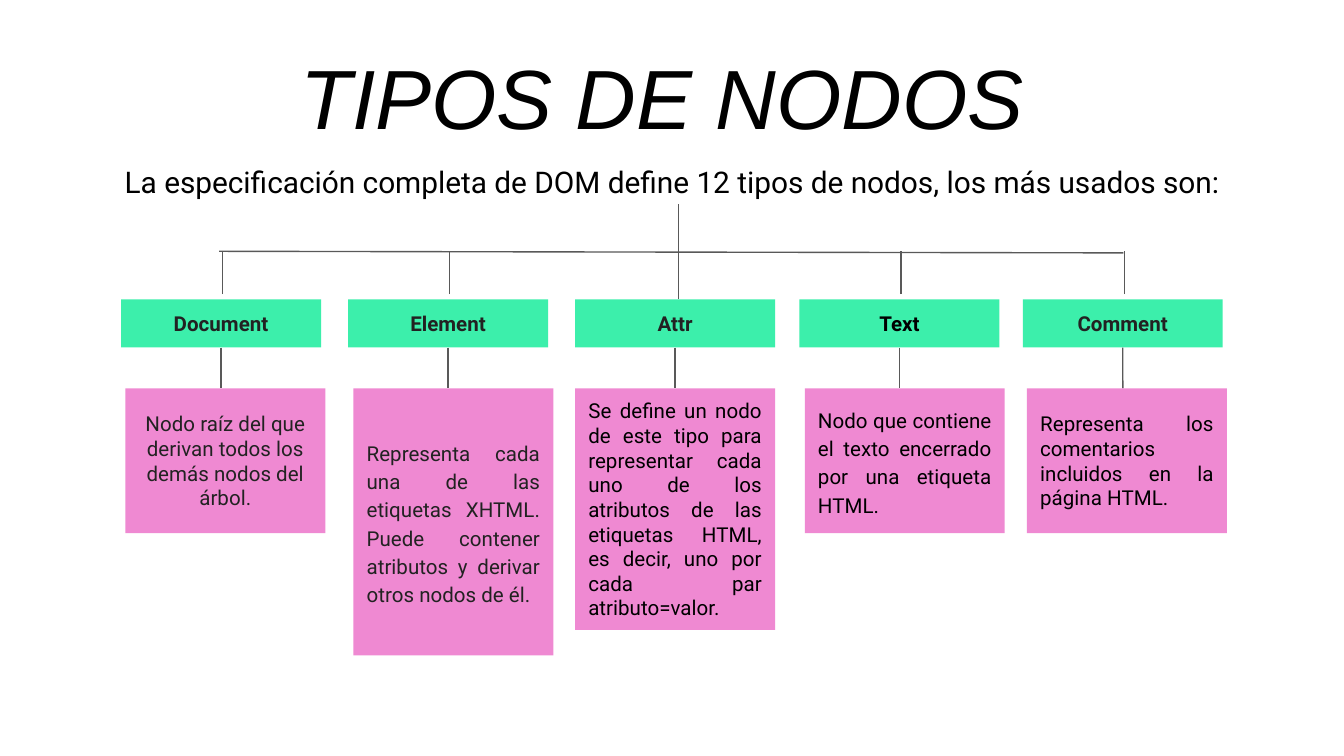
from collections import namedtuple
from dataclasses import dataclass

from lxml.etree import SubElement
from pptx import Presentation
from pptx.dml.color import RGBColor
from pptx.enum.shapes import MSO_CONNECTOR as Connector, MSO_SHAPE as Shape
from pptx.enum.text import MSO_ANCHOR as Anchor, PP_ALIGN as Align
from pptx.oxml.ns import qn
from pptx.util import Cm, Pt


@dataclass(frozen=True)
class Theme:
    black: str = "000000"
    ink: str = "222222"
    line: str = "595959"
    green: str = "3CEFAB"
    pink: str = "EF89D2"
    title_font: str = "Arial"
    text_font: str = "Roboto"
    title_size: float = 45
    lead_size: float = 16
    node_size: float = 11
    line_width: float = 0.75
    inset: float = 0.25


THEME = Theme()
Box = namedtuple("Box", "left top width height")
Node = namedtuple("Node", "name left name_color shift height color align spacing detail")

NODES = [
    Node("Document", 2.29, THEME.ink, 0.08, 2.74, THEME.ink, Align.CENTER, None,
         "Nodo raíz del que derivan todos los demás nodos del árbol."),
    Node("Element", 6.58, THEME.ink, 0.1, 5.05, THEME.ink, Align.JUSTIFY, 1.15,
         "Representa cada una de las etiquetas XHTML. Puede contener atributos "
         "y derivar otros nodos de él."),
    Node("Attr", 10.87, THEME.ink, 0, 4.57, THEME.black, Align.JUSTIFY, None,
         "Se define un nodo de este tipo para representar cada uno de los atributos "
         "de las etiquetas HTML, es decir, uno por cada par atributo=valor."),
    Node("Text", 15.11, THEME.black, 0.1, 2.74, THEME.black, Align.JUSTIFY, 1.15,
         "Nodo que contiene el texto encerrado por una etiqueta HTML."),
    Node("Comment", 19.33, THEME.ink, 0.08, 2.74, THEME.black, Align.JUSTIFY, None,
         "Representa los comentarios incluidos en la página HTML."),
]
TRUNK_NODE = "Attr"
NODE_WIDTH, NAME_HEIGHT, NAME_TO_DETAIL = 3.78, 0.91, 0.77


def write(shape, text, size, color, font=THEME.text_font, align=Align.CENTER,
          spacing=None, bold=False, italic=False, anchor=Anchor.TOP):
    frame = shape.text_frame
    frame.word_wrap = True
    frame.vertical_anchor = anchor
    frame.margin_left = frame.margin_right = Cm(THEME.inset)
    frame.margin_top = frame.margin_bottom = Cm(THEME.inset)
    paragraph = frame.paragraphs[0]
    paragraph.text = text
    paragraph.alignment = align
    if spacing:
        paragraph.line_spacing = spacing
    paragraph.font.name = font
    paragraph.font.size = Pt(size)
    paragraph.font.bold = bold
    paragraph.font.italic = italic
    paragraph.font.color.rgb = RGBColor.from_string(color)


def add_text(slide, box, text, size, **style):
    label = slide.shapes.add_textbox(*map(Cm, box))
    write(label, text, size, THEME.black, **style)


def add_block(slide, box, fill, text, color, **style):
    block = slide.shapes.add_shape(Shape.RECTANGLE, *map(Cm, box))
    block.shadow.inherit = False
    block.fill.solid()
    block.fill.fore_color.rgb = RGBColor.from_string(fill)
    block.line.fill.background()
    write(block, text, THEME.node_size, color, anchor=Anchor.MIDDLE, **style)
    return block


def add_line(slide, *ends):
    line = slide.shapes.add_connector(Connector.STRAIGHT, *map(Cm, ends))
    line.line.color.rgb = RGBColor.from_string(THEME.line)
    line.line.width = Pt(THEME.line_width)
    SubElement(line._element.spPr, qn("a:effectLst"))
    return line


def add_heading(slide, box):
    add_text(slide, Box(box.left + 3.02, box.top, 15.75, 2.74), "TIPOS DE NODOS",
             THEME.title_size, font=THEME.title_font, italic=True)
    add_text(slide, Box(box.left, box.top + 2.13, box.width, 1.3),
             "La especificación completa de DOM define 12 tipos de nodos, "
             "los más usados son:", THEME.lead_size, spacing=1.15)


def add_branches(slide, box):
    bar = box.top + 0.89
    add_line(slide, box.left, bar, box.left + box.width, bar + 0.03)
    for node in NODES:
        center = node.left + NODE_WIDTH / 2
        if node.name == TRUNK_NODE:
            add_line(slide, center + 0.06, box.top + box.height, center + 0.06, box.top)
        else:
            add_line(slide, center + 0.03, box.top + box.height - 0.1, center + 0.03, bar)


def add_node(slide, box, node):
    name = add_block(slide, Box(box.left, box.top, box.width, NAME_HEIGHT), THEME.green,
                     node.name, node.name_color, bold=True)
    center = box.left + box.width / 2
    name_bottom = box.top + NAME_HEIGHT
    detail_top = name_bottom + NAME_TO_DETAIL
    link = add_line(slide, center, name_bottom, center, detail_top)
    link.begin_connect(name, 2)
    detail = add_block(slide, Box(box.left + node.shift, detail_top, box.width, node.height),
                       THEME.pink, node.detail, node.color,
                       align=node.align, spacing=node.spacing)
    if not node.shift:
        link.end_connect(detail, 0)


def main():
    deck = Presentation()
    deck.slide_width, deck.slide_height = Cm(25.4), Cm(14.29)
    slide = deck.slides.add_slide(deck.slide_layouts[6])
    add_heading(slide, Box(1.63, 0.61, 22.15, 3.43))
    add_branches(slide, Box(4.14, 3.86, 17.09, 1.8))
    for node in NODES:
        height = NAME_HEIGHT + NAME_TO_DETAIL + node.height
        add_node(slide, Box(node.left, 5.66, NODE_WIDTH, height), node)
    deck.save("out.pptx")


if __name__ == "__main__":
    main()
